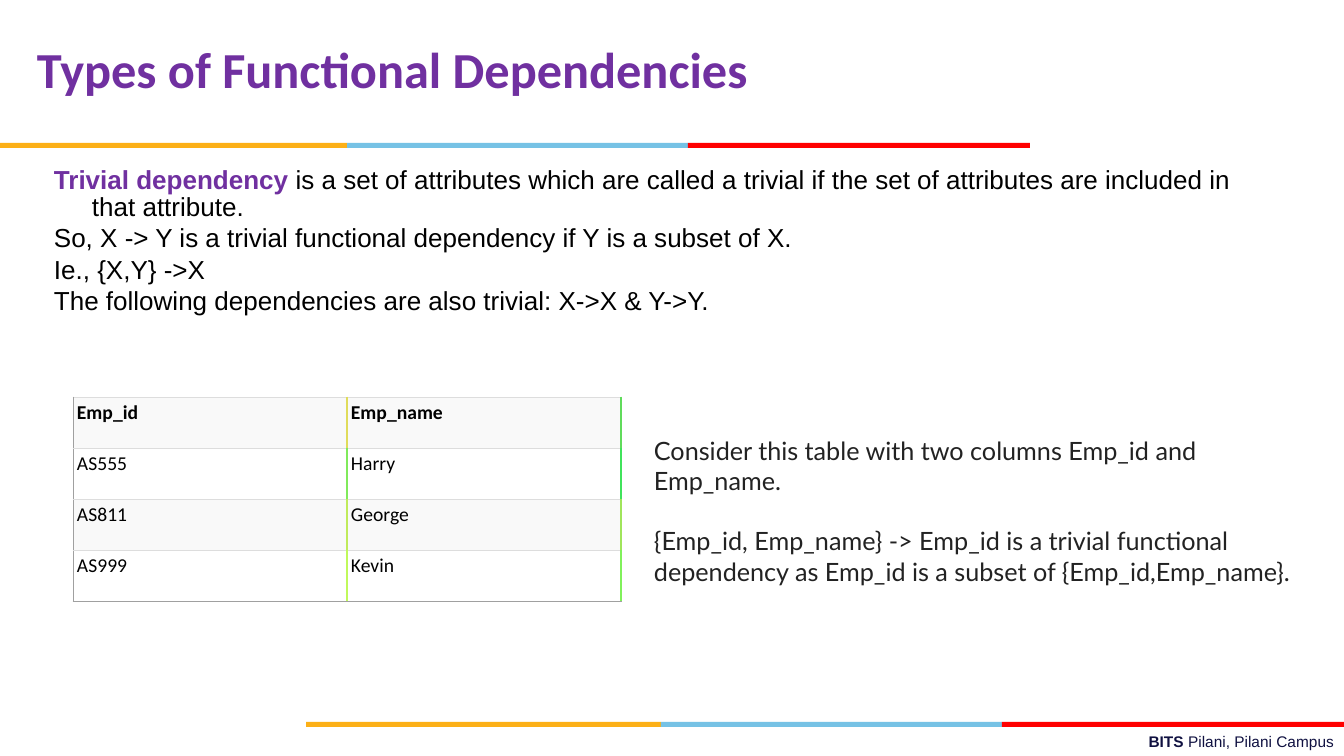
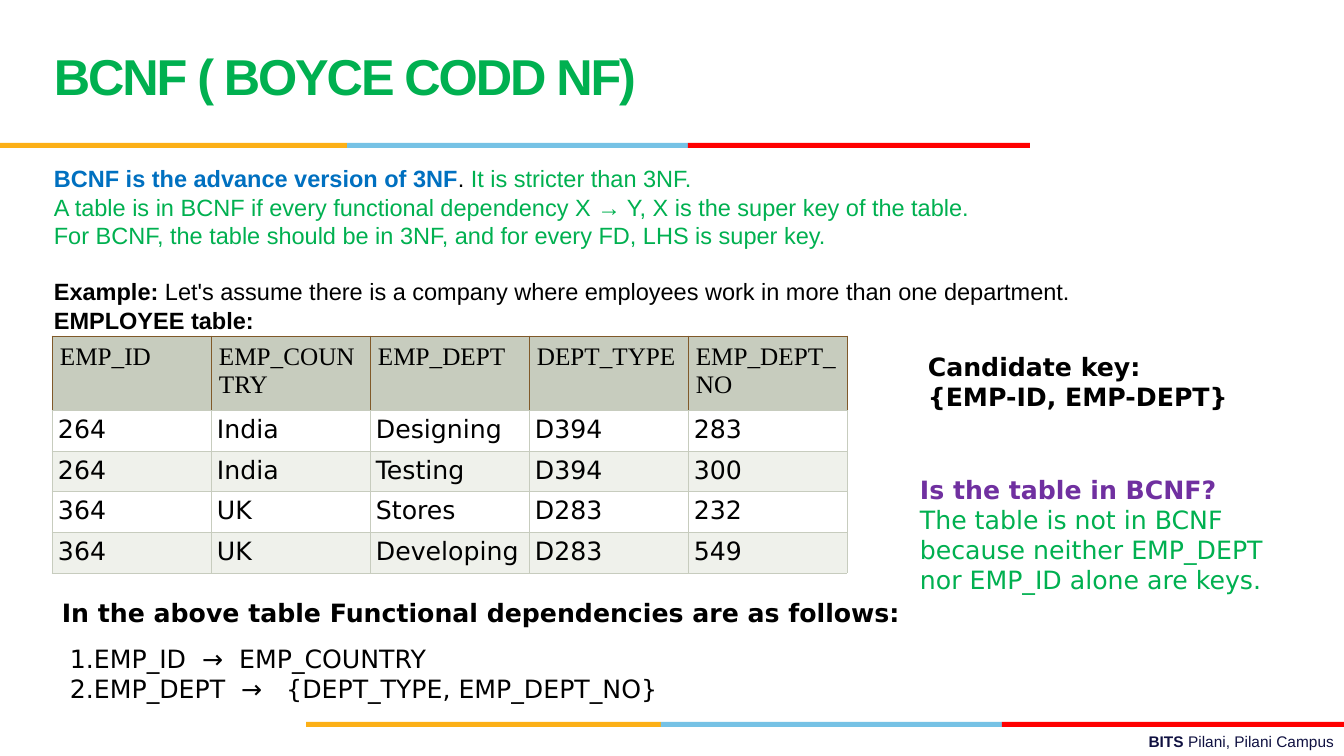
"""Build two slides on functional dependencies and BCNF."""
import pptx
import pptx.dml.color
import pptx.enum.shapes
import pptx.enum.text
import pptx.oxml
import pptx.oxml.ns
import pptx.util

RGB = pptx.dml.color.RGBColor
ALIGN = pptx.enum.text.PP_ALIGN
ANCHOR = pptx.enum.text.MSO_ANCHOR
RECT = pptx.enum.shapes.MSO_SHAPE.RECTANGLE

WIDE, HIGH = 1344, 756
SCALE = 12192000 / WIDE

BLACK = RGB(0x00, 0x00, 0x00)
WHITE = RGB(0xFF, 0xFF, 0xFF)
INK = RGB(0x22, 0x22, 0x22)
NAVY = RGB(0x10, 0x11, 0x41)
PURPLE = RGB(0x70, 0x30, 0xA0)
GREEN = RGB(0x00, 0xB0, 0x50)
BLUE = RGB(0x00, 0x70, 0xC0)
GOLD = RGB(0xFC, 0xB0, 0x17)
SKY = RGB(0x76, 0xC2, 0xE5)
RED = RGB(0xFF, 0x00, 0x00)
PALE = RGB(0xF9, 0xF9, 0xF9)
RULE = RGB(0xDD, 0xDD, 0xDD)
GREY = RGB(0xA0, 0xA0, 0xA0)
SAGE = RGB(0xC7, 0xCC, 0xBE)
MIST = RGB(0xEF, 0xF1, 0xEB)
BROWN = RGB(0x80, 0x59, 0x29)
INNER = [RGB(0xE0, 0xDC, 0x5B), RGB(0x80, 0xEA, 0x5B),
         RGB(0xC0, 0xEB, 0x5B), RGB(0xC0, 0xF9, 0x5B)]
OUTER = [RGB(0x60, 0xDB, 0x5B), RGB(0x40, 0xE3, 0x5B),
         RGB(0xA0, 0xE5, 0x5B), RGB(0x80, 0xF1, 0x5B)]

BOLD = {"bold": True}
PLAIN = {"bold": False}
TITLE = {"size": 36, "bold": True}
FOOT = {"name": "Arial", "size": 11, "color": NAVY}
NOTE = {"name": "Lato", "size": 18, "color": INK}
SANS = {"name": "DejaVu Sans", "size": 18, "color": BLACK}
SERIF = {**SANS, "name": "Times New Roman"}
CELL = {"name": "Calibri", "size": 14, "color": BLACK}
BODY = {"name": "Arial", "color": BLACK}


def px(num):
    """Turn px into EMU."""
    return pptx.util.Emu(round(num * SCALE))


class Deck:
    """Hold the style and the current slide."""

    def __init__(self):
        """Start an empty deck."""
        self.file = pptx.Presentation()
        self.file.slide_width = px(WIDE)
        self.file.slide_height = px(HIGH)
        self.slide = None

    def page(self):
        """Add a slide with its bands and footer."""
        self.slide = self.file.slides.add_slide(self.file.slide_layouts[6])
        self.band(143, [0, 347, 688, 1030])
        self.band(722, [306, 661, 1002, WIDE])
        self.text((482, 727, 862, 29),
                  [[("BITS ", BOLD), ("Pilani, Pilani Campus", {})]],
                  FOOT, {"alignment": ALIGN.RIGHT})

    def band(self, top, stops):
        """Draw a three-colour band between the stops."""
        for left, right, tint in zip(stops, stops[1:], (GOLD, SKY, RED)):
            bar = self.slide.shapes.add_shape(
                RECT, px(left), px(top), px(right - left), px(5))
            bar.shadow.inherit = False
            bar.fill.solid()
            bar.fill.fore_color.rgb = tint
            bar.line.fill.background()

    def run(self, para, words, form):
        """Add a run with its font values."""
        run = para.add_run()
        run.text = words
        for key, value in {"bold": False, **form}.items():
            if key == "color":
                run.font.color.rgb = value
            elif key == "spc":
                run.font._element.set("spc", str(value))
            else:
                setattr(run.font, key,
                        pptx.util.Pt(value) if key == "size" else value)

    def text(self, box, paras, form, lay=None, gaps=None, hang=0,
             count=False, anchor=ANCHOR.TOP):
        """Add a text box; gaps maps a paragraph to its space before."""
        frame = self.slide.shapes.add_textbox(*map(px, box)).text_frame
        frame.word_wrap = True
        frame.vertical_anchor = anchor
        for i, runs in enumerate(paras):
            para = frame.add_paragraph() if i else frame.paragraphs[0]
            for key, value in (lay or {}).items():
                setattr(para, key, value)
            if gaps and i in gaps:
                para.space_before = pptx.util.Pt(gaps[i])
            props = para._p.get_or_add_pPr()
            if hang:
                props.set("marL", str(px(hang)))
                props.set("indent", str(px(-hang)))
            if count:
                mark = pptx.oxml.ns.qn("a:buAutoNum")
                props.makeelement(mark)
                props.append(props.makeelement(mark, {"type": "arabicPeriod"}))
            for words, extra in runs:
                self.run(para, words, {**form, **extra})

    def body(self, box, size, paras, wide=()):
        """Add body text; wide lists paragraphs after a line gap."""
        step = round(size * 0.2, 1)
        line = round(size * 0.965 + step, 1)
        gaps = {i: step + (line if i in wide else 0)
                for i in range(1, len(paras))}
        self.text(box, paras, {**BODY, "size": size},
                  {"line_spacing": 0.84}, gaps, 38)

    def edge(self, cell, sides):
        """Draw cell borders from (colour, points) by side."""
        props = cell._tc.get_or_add_tcPr()
        for i, side in enumerate("LRTB"):
            tint, width = sides[side]
            props.insert(i, pptx.oxml.parse_xml(
                f'<a:ln{side} {pptx.oxml.ns.nsdecls("a")} '
                f'w="{pptx.util.Pt(width)}"><a:solidFill>'
                f'<a:srgbClr val="{tint}"/></a:solidFill></a:ln{side}>'))

    def table(self, spot, cols, highs, rows, look):
        """Add a table; look gives form, fill, insets and borders."""
        wide = sum(cols)
        grid = self.slide.shapes.add_table(
            len(rows), len(cols), *map(px, (*spot, wide, sum(highs)))).table
        for col, size in zip(grid.columns, cols):
            col.width = px(size)
        for r, row in enumerate(rows):
            grid.rows[r].height = px(highs[r])
            for c, words in enumerate(row):
                cell = grid.cell(r, c)
                form, fill, (side, top), lines = look(r, c)
                pads = {"margin_left": side, "margin_right": side,
                        "margin_top": top, "margin_bottom": top}
                for key, value in pads.items():
                    setattr(cell, key, px(value))
                cell.fill.solid()
                cell.fill.fore_color.rgb = fill
                self.edge(cell, lines)
                self.run(cell.text_frame.paragraphs[0], words, form)


def staff(r, c):
    """Give the look of a cell in the two-column table."""
    lines = {"L": (INNER[r], 1) if c else (GREY, 0.5),
             "R": (OUTER[r] if c else INNER[r], 1),
             "T": (RULE, 0.5),
             "B": (GREY if r == 3 else RULE, 0.5)}
    form = {**CELL, "bold": r == 0}
    return form, WHITE if r % 2 else PALE, (4, 4), lines


def work(r, c):
    """Give the look of a cell in the employee table."""
    lines = dict.fromkeys("LRTB", (SAGE, 0.5))
    if r:
        return SANS, WHITE if r % 2 else MIST, (6, 5), lines
    lines.update(dict.fromkeys("LRT", (BROWN, 0.5)))
    return SERIF, SAGE, (8, 7), lines


def types(deck):
    """Build the slide on trivial dependencies."""
    deck.page()
    deck.body((44, 164, 1229, 161), 18.6, [
        [("Trivial dependency ", {"color": PURPLE, **BOLD}),
         ("is a set of attributes which are called a trivial if the set of "
          "attributes are included in that attribute.", {})],
        [("So, X -> Y is a trivial functional dependency if Y is a subset "
          "of X.", {})],
        [("Ie., {X,Y} ->X", {})],
        [("The following dependencies are also trivial: X->X & Y->Y.", {})]])
    deck.table((73, 397), [274, 274], [51] * 4, [
        ("Emp_id", "Emp_name"), ("AS555", "Harry"),
        ("AS811", "George"), ("AS999", "Kevin")], staff)
    deck.text((644, 430, 672, 163), [
        [("Consider this table with two columns Emp_id and Emp_name.", {})],
        [("{Emp_id, Emp_name} -> Emp_id is a trivial functional dependency "
          "as Emp_id is a subset of {Emp_id,Emp_name}.", {})]],
        NOTE, gaps={1: 21.6})
    deck.text((27, 33, 760, 72),
              [[("Types of Functional Dependencies", {})]],
              {**TITLE, "name": "Calibri", "color": PURPLE})


def bcnf(deck):
    """Build the slide on BCNF."""
    deck.page()
    leaf = {"color": GREEN}
    deck.body((44, 164, 1143, 189), 16.8, [
        [("BCNF is the advance version of 3NF", {"color": BLUE, **BOLD}),
         (". ", {}), ("It is stricter than 3NF.", leaf)],
        [("A table is in BCNF if every functional dependency X → Y, X is "
          "the super key of the table.", leaf)],
        [("For BCNF, the table should be in 3NF, and for every FD, LHS is "
          "super key.", leaf)],
        [("Example:", BOLD),
         (" Let's assume there is a company where employees work in more "
          "than one department.", {})],
        [("EMPLOYEE table:", BOLD)]], wide=(3,))
    deck.text((44, 17, 929, 126), [[("BCNF ( BOYCE CODD NF)", {})]],
              {**TITLE, **leaf, "name": "Arial", "spc": -150},
              {"line_spacing": pptx.util.Pt(36)}, anchor=ANCHOR.MIDDLE)
    deck.table((52, 336), [159] * 5, [72, 41, 40, 41, 40], [
        ("EMP_ID", "EMP_COUNTRY", "EMP_DEPT", "DEPT_TYPE", "EMP_DEPT_NO"),
        ("264", "India", "Designing", "D394", "283"),
        ("264", "India", "Testing", "D394", "300"),
        ("364", "UK", "Stores", "D283", "232"),
        ("364", "UK", "Developing", "D283", "549")], work)
    deck.text((52, 592, 980, 40), [
        [("In the above table Functional dependencies are as follows:",
          BOLD)]], SANS)
    deck.text((60, 638, 672, 72), [
        [("EMP_ID  →  EMP_COUNTRY", {})],
        [("EMP_DEPT  →   {DEPT_TYPE, EMP_DEPT_NO}", {})]],
        SANS, count=True)
    deck.text((918, 346, 329, 72), [
        [("Candidate key:", BOLD)], [("{EMP-ID, EMP-DEPT}", BOLD)]], SANS)
    deck.text((910, 469, 388, 132), [
        [("Is the table in BCNF?", {"color": PURPLE, **BOLD})],
        [("The table is not in BCNF because neither EMP_DEPT nor EMP_ID "
          "alone are keys.", leaf)]], SANS)


def main():
    """Build and save the deck."""
    deck = Deck()
    types(deck)
    bcnf(deck)
    deck.file.save("out.pptx")


if __name__ == "__main__":
    main()
